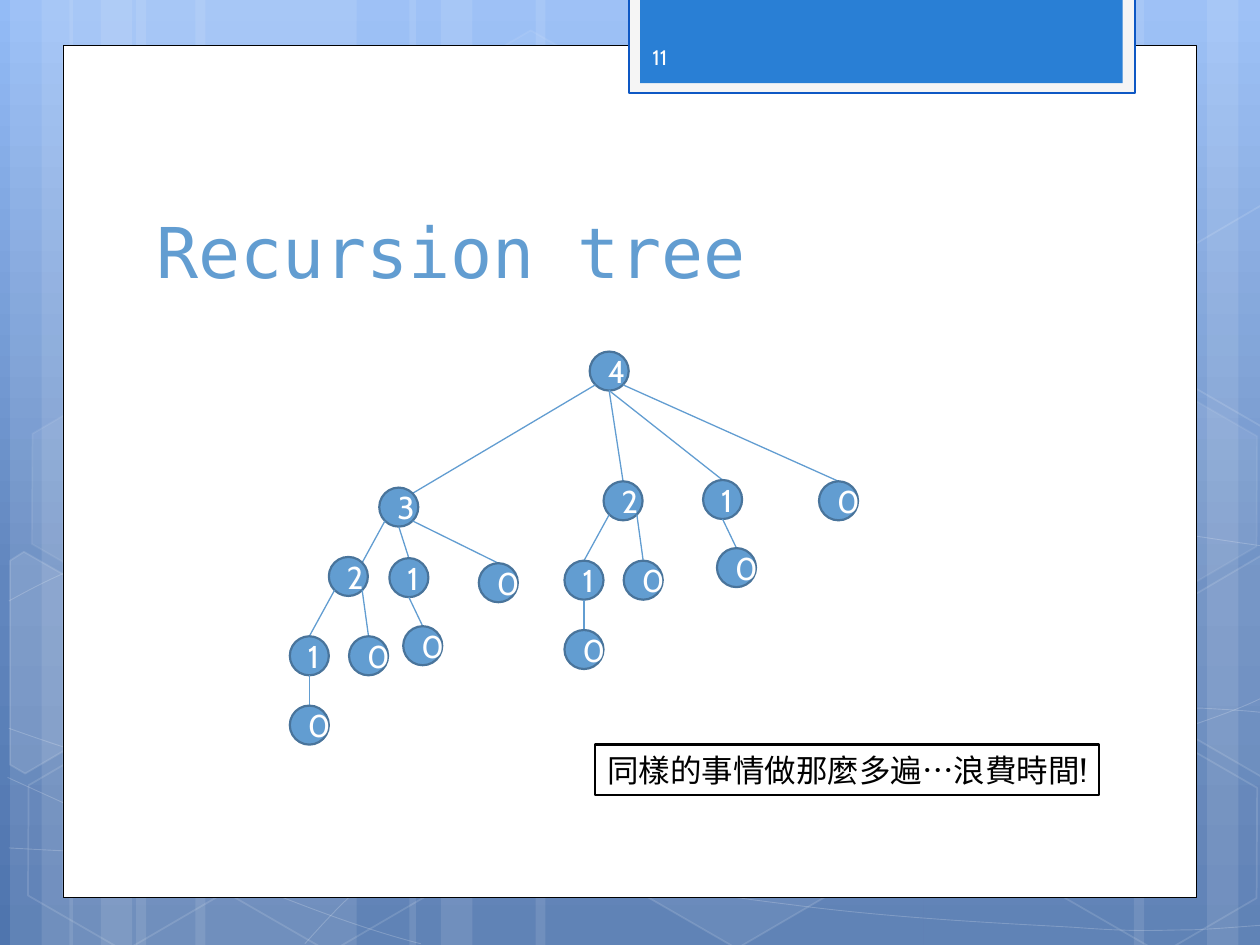
from copy import deepcopy
from math import sqrt

from pptx import Presentation
from pptx.dml.color import RGBColor
from pptx.enum.shapes import MSO_CONNECTOR, MSO_SHAPE
from pptx.enum.text import MSO_ANCHOR, MSO_AUTO_SIZE, PP_ALIGN
from pptx.oxml.ns import qn
from pptx.util import Inches, Pt
from lxml import etree

RECT, OVAL, HEXAGON = MSO_SHAPE.RECTANGLE, MSO_SHAPE.OVAL, MSO_SHAPE.HEXAGON
STRAIGHT = MSO_CONNECTOR.STRAIGHT
TOP, MIDDLE, BOTTOM = MSO_ANCHOR.TOP, MSO_ANCHOR.MIDDLE, MSO_ANCHOR.BOTTOM
CENTER = PP_ALIGN.CENTER
FIT_SHAPE = MSO_AUTO_SIZE.SHAPE_TO_FIT_TEXT

WHITE = RGBColor(0xFF, 0xFF, 0xFF)
BLACK = RGBColor(0, 0, 0)
SKY = [(0, RGBColor(0x93, 0xBB, 0xF6)), (0.62, RGBColor(0x61, 0x86, 0xBE)),
       (1, RGBColor(0x4F, 0x75, 0xAE))]
TAB_GREY = RGBColor(0xF5, 0xF5, 0xF5)
TAB_EDGE = RGBColor(0x0E, 0x58, 0xC4)
TAB_BLUE = RGBColor(0x29, 0x7F, 0xD5)
NUMBER_WHITE = RGBColor(0xFE, 0xFE, 0xFE)
NODE_BLUE = RGBColor(0x62, 0x9D, 0xD1)
NODE_EDGE = RGBColor(0x49, 0x74, 0x9B)

BODY_FONT, TITLE_FONT = "Cabin", "DejaVu Sans Mono"
NODE_SIZE = 0.31

# left, width of the vertical light bands
BANDS = [(1.08, 1.75), (0.08, 0.5), (0.33, 0.83), (1.55, 1.75), (0.55, 0.5), (0.8, 0.83),
         (7.33, 1.75), (9.58, 0.5), (9, 0.83), (4.25, 3.08), (3.25, 0.5), (3.5, 0.83)]

# start point, then Bezier segments of two control points and an end point
CURVES = [
    [(0.07, 6.73), (0.61, 6.76), (1.15, 6.79), (1.9, 6.78), (2.65, 6.77), (3.58, 6.75),
     (4.58, 6.65), (5.58, 6.55), (7, 6.36), (7.92, 6.17), (8.83, 5.98), (9.77, 5.68),
     (10.07, 5.51)],
    [(0.07, 4.77), (0.36, 4.61), (0.65, 4.46), (1.21, 4.31), (1.78, 4.16), (2.59, 3.94),
     (3.47, 3.87), (4.36, 3.8), (5.44, 3.79), (6.54, 3.87), (7.64, 3.95), (9.47, 4.26),
     (10.07, 4.34)],
    [(0.06, 6.17), (1.27, 6.72), (2.47, 7.27), (3.34, 7.49)],
    [(0.07, 5.78), (0.38, 5.89), (0.7, 6), (1.28, 6.16), (1.86, 6.31), (2.73, 6.56),
     (3.57, 6.73), (4.4, 6.9), (5.45, 7.08), (6.28, 7.18), (7.11, 7.29), (8, 7.33),
     (8.53, 7.36), (9.05, 7.4), (9.19, 7.38), (9.45, 7.38), (9.71, 7.37), (9.89, 7.35),
     (10.07, 7.34)],
    [(2.42, 7.49), (2.6, 7.29), (2.78, 7.09), (3.02, 6.91), (3.26, 6.73), (3.6, 6.53),
     (3.88, 6.39), (4.16, 6.25), (4.33, 6.19), (4.7, 6.09), (5.06, 5.99), (5.73, 5.85),
     (6.08, 5.78), (6.44, 5.71), (6.49, 5.71), (6.8, 5.69), (7.11, 5.66), (7.6, 5.63),
     (7.94, 5.62), (8.29, 5.61), (8.86, 5.62), (8.86, 5.62), (9.08, 5.62), (9.31, 5.62),
     (9.53, 5.62), (9.71, 5.63), (9.88, 5.64), (9.97, 5.65), (10.06, 5.66), (10.03, 5.65),
     (10.06, 5.66)],
]

# left, top, fill opacity (None for no fill), line opacity
HEXAGONS = [(3.34, 0.36, 4, 8), (4.97, 5.89, 6, 12), (0.11, 5.91, None, 12),
            (0.14, 3.12, 7, 8), (1.74, 5.92, None, 12), (7.53, 4.53, 10, 12),
            (8.34, 5.93, None, 12), (8.34, 3.14, 7, 8)]

# hexagons cut off by the slide's edge: corners, fill opacity
CUT_HEXAGONS = [
    ([(0.08, 4.45), (0.19, 4.38), (0.96, 4.82), (0.95, 5.7), (0.2, 6.14), (0.08, 6.07)], 10),
    ([(9.26, 4.85), (10.01, 4.41), (10.09, 4.46), (10.09, 6.13), (10.02, 6.17),
      (9.26, 5.73)], 4),
    ([(9.26, 2.07), (10.01, 1.63), (10.1, 1.68), (10.09, 3.35), (10.02, 3.39),
      (9.26, 2.95)], None),
]

# label, left, top, children
TREE = ("4", 4.68, 2.79, [
    ("3", 3.01, 3.87, [
        ("2", 2.61, 4.42, [("1", 2.3, 5.05, [("0", 2.3, 5.6, [])]),
                           ("0", 2.77, 5.05, [])]),
        ("1", 3.09, 4.43, [("0", 3.2, 4.97, [])]),
        ("0", 3.8, 4.47, [])]),
    ("2", 4.79, 3.82, [("1", 4.48, 4.45, [("0", 4.48, 5, [])]), ("0", 4.95, 4.45, [])]),
    ("1", 5.58, 3.81, [("0", 5.69, 4.35, [])]),
    ("0", 6.5, 3.82, [])])


def set_opacity(properties, percent):
    color = properties.find(qn("a:solidFill"))[0]
    etree.SubElement(color, qn("a:alpha")).set("val", str(percent * 1000))


def paint(shape, fill=None, line=None, width=1, fill_opacity=100, line_opacity=100):
    shape.shadow.inherit = False
    if fill is None:
        shape.fill.background()
    else:
        shape.fill.solid()
        shape.fill.fore_color.rgb = fill
        if fill_opacity < 100:
            set_opacity(shape._element.spPr, fill_opacity)
    if line is None:
        shape.line.fill.background()
    else:
        shape.line.color.rgb = line
        shape.line.width = Pt(width)
        if line_opacity < 100:
            set_opacity(shape._element.spPr.find(qn("a:ln")), line_opacity)


def add_box(slide, kind, box, **style):
    shape = slide.shapes.add_shape(kind, *map(Inches, box))
    paint(shape, **style)
    return shape


def write(shape, text, size, color, font=BODY_FONT, anchor=MIDDLE, align=None, wrap=True):
    frame = shape.text_frame
    frame.word_wrap = wrap
    frame.vertical_anchor = anchor
    paragraph = frame.paragraphs[0]
    paragraph.text = text
    paragraph.alignment = align
    paragraph.font.size = Pt(size)
    paragraph.font.name = font
    paragraph.font.color.rgb = color


def add_outline(slide, points, close):
    start, *others = [(Inches(x), Inches(y)) for x, y in points]
    builder = slide.shapes.build_freeform(*start)
    builder.add_line_segments(others, close=close)
    return builder.convert_to_shape()


def add_curve(slide, points):
    """Lay out all points as lines, then join each three into a Bezier segment."""
    curve = add_outline(slide, points, False)
    lines = list(curve._element.iter(qn("a:lnTo")))
    for i in range(0, len(lines), 3):
        segment = etree.Element(qn("a:cubicBezTo"))
        lines[i].addprevious(segment)
        for line in lines[i:i + 3]:
            segment.append(line[0])
            line.getparent().remove(line)
    return curve


def add_sky(slide):
    fill = slide.background.fill
    fill.gradient()
    fill.gradient_angle = 270
    stop_list = next(slide._element.iter(qn("a:gsLst")))
    stop_list.append(deepcopy(stop_list[-1]))
    for stop, (position, color) in zip(fill.gradient_stops, SKY):
        stop.position = position
        stop.color.rgb = color


def add_backdrop(slide, height):
    add_sky(slide)
    for left, width in BANDS:
        add_box(slide, RECT, (left, 0, width, height), fill=WHITE, fill_opacity=10)
    for points in CURVES:
        paint(add_curve(slide, points), line=WHITE, width=0.5, line_opacity=20)
    for left, top, opacity, line_opacity in HEXAGONS:
        hexagon = add_box(slide, HEXAGON, (left, top, 1.75, 1.52),
                          fill=WHITE if opacity else None, fill_opacity=opacity,
                          line=WHITE, line_opacity=line_opacity)
        hexagon.adjustments[0] = 0.285
        hexagon.rotation = 30
    for corners, opacity in CUT_HEXAGONS:
        paint(add_outline(slide, corners, True), fill=WHITE if opacity else None,
              fill_opacity=opacity, line=WHITE, line_opacity=12)


def add_page_tab(slide, box, number):
    left, top, width, height = box
    add_box(slide, RECT, box, fill=TAB_GREY, line=TAB_EDGE, width=1.25)
    add_box(slide, RECT, (left + 0.09, top, width - 0.19, height - 0.08), fill=TAB_BLUE)
    page_number = slide.shapes.add_textbox(*map(Inches, (left + 0.09, 0.25, 1.46, 0.4)))
    write(page_number, number, 12, NUMBER_WHITE)


def add_title(slide, box, text):
    title = slide.shapes.add_textbox(*map(Inches, box))
    write(title, text, 40, NODE_BLUE, font=TITLE_FONT, anchor=BOTTOM)


def rim_point(node, across, down):
    """Point on a node's circle in the direction (across, down)."""
    _, left, top, _ = node
    radius = NODE_SIZE / 2
    reach = radius / sqrt(across ** 2 + down ** 2)
    return left + radius + across * reach, top + radius + down * reach


def add_edge(slide, start, end):
    edge = slide.shapes.add_connector(STRAIGHT, *map(Inches, start + end))
    edge.line.color.rgb = NODE_BLUE
    edge.line.width = Pt(0.75)
    etree.SubElement(edge._element.spPr, qn("a:effectLst"))


def add_tree(slide, node):
    """Outer children hang from the lower diagonals, the others from the bottom."""
    label, left, top, children = node
    circle = add_box(slide, OVAL, (left, top, NODE_SIZE, NODE_SIZE),
                     fill=NODE_BLUE, line=NODE_EDGE, width=1.25)
    write(circle, label, 18, WHITE, align=CENTER)
    sides = [-1] + [0] * (len(children) - 2) + [1] if len(children) > 1 else [0]
    for side, child in zip(sides, children):
        child_side = 1 if side == -1 and len(child[3]) > 1 else 0
        add_edge(slide, rim_point(node, side, 1), rim_point(child, child_side, -1))
        add_tree(slide, child)


def add_remark(slide, box, text):
    remark = add_box(slide, RECT, box, fill=WHITE, line=BLACK, width=1.25)
    write(remark, text, 18, BLACK, anchor=TOP, align=PP_ALIGN.LEFT, wrap=False)
    remark.text_frame.auto_size = FIT_SHAPE


def main():
    presentation = Presentation()
    presentation.slide_width, presentation.slide_height = Inches(10), Inches(7.5)
    slide = presentation.slides.add_slide(presentation.slide_layouts[6])
    add_backdrop(slide, 7.5)
    add_box(slide, RECT, (0.5, 0.36, 9, 6.76), fill=WHITE, line=BLACK, width=0.5)
    add_page_tab(slide, (4.99, -0.02, 4.02, 0.76), "11")
    add_title(slide, (1.14, 1.12, 7.68, 1.25), "Recursion tree")
    add_tree(slide, TREE)
    add_remark(slide, (4.72, 5.91, 4, 0.4), "同樣的事情做那麼多遍…浪費時間!")
    presentation.save("out.pptx")


if __name__ == "__main__":
    main()
